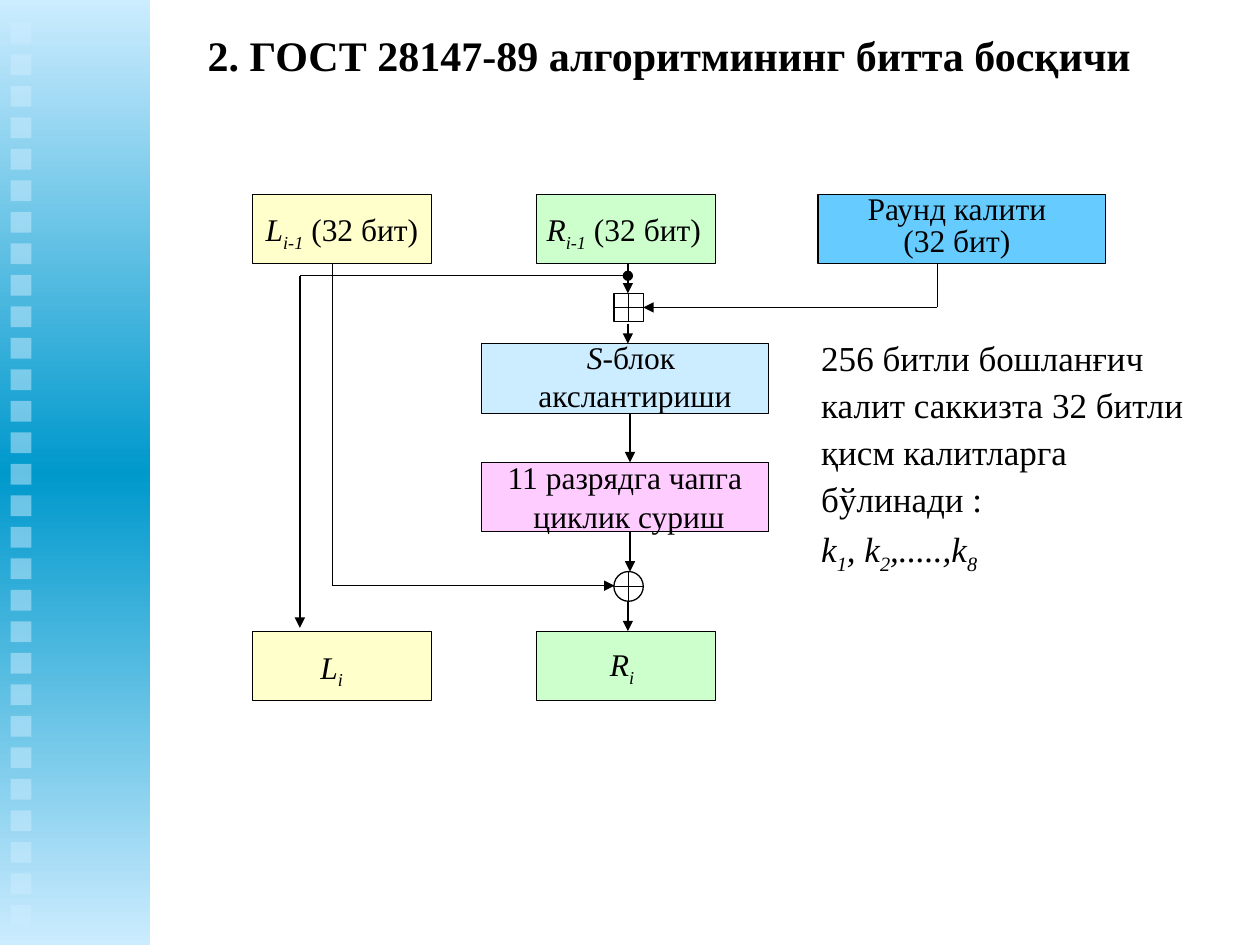
"""Draw one round of the GOST 28147-89 cipher as a block diagram."""
from copy import deepcopy
from dataclasses import dataclass
from typing import NamedTuple

from lxml.etree import SubElement as add_sub
from pptx import Presentation as Deck
from pptx.dml.color import RGBColor as Rgb
from pptx.enum.shapes import MSO_CONNECTOR as Wire, MSO_SHAPE as Form
from pptx.enum.text import MSO_ANCHOR as Anchor, PP_ALIGN as Align
from pptx.oxml.ns import qn
from pptx.util import Pt


@dataclass(frozen=True)
class Theme:
    font: str = "Times New Roman"
    ink: str = "000000"
    white: str = "FFFFFF"
    pale: str = "CCECFF"
    deep: str = "0099CC"
    cream: str = "FFFFCC"
    mint: str = "CCFFCC"
    sky: str = "66CCFF"
    pink: str = "FFCCFF"
    head: float = 24
    note: float = 20
    label: float = 18
    line: float = 0.75


class Box(NamedTuple):
    left: float
    top: float
    width: float
    height: float
    fill: str
    form: Form = Form.RECTANGLE


class Link(NamedTuple):
    x1: float
    y1: float
    x2: float
    y2: float
    start: str = ""
    end: str = ""


class Bit(NamedTuple):
    text: str
    slant: bool = False
    low: bool = False


THEME = Theme()


def var(name: str, index: str) -> list[Bit]:
    return [Bit(name, True), Bit(index, True, True)]


def draw_box(slide, box: Box, edge: bool = True):
    shape = slide.shapes.add_shape(box.form, *map(Pt, box[:4]))
    shape.shadow.inherit = False
    shape.fill.solid()
    shape.fill.fore_color.rgb = Rgb.from_string(box.fill)
    if edge:
        shape.line.color.rgb = Rgb.from_string(THEME.ink)
        shape.line.width = Pt(THEME.line)
    else:
        shape.line.fill.background()
    return shape


def draw_link(slide, link: Link) -> None:
    wire = slide.shapes.add_connector(Wire.STRAIGHT, *map(Pt, link[:4]))
    wire.line.color.rgb = Rgb.from_string(THEME.ink)
    wire.line.width = Pt(THEME.line)
    props = wire._element.spPr
    for tag, kind in (("a:headEnd", link.start), ("a:tailEnd", link.end)):
        if kind:
            add_sub(props.find(qn("a:ln")), qn(tag), type=kind)
    add_sub(props, qn("a:effectLst"))


def draw_text(slide, place: tuple[float, ...], rows: list[list[Bit]], *,
              size: float = THEME.label, bold: bool = False, wrap: bool = True,
              align: Align = Align.LEFT, pitch: float = 1, gap: float = 0) -> None:
    frame = slide.shapes.add_textbox(*map(Pt, place)).text_frame
    frame.word_wrap = wrap
    frame.vertical_anchor = Anchor.TOP
    for i, row in enumerate(rows):
        para = frame.add_paragraph() if i else frame.paragraphs[0]
        para.alignment = align
        para.line_spacing = pitch
        para.space_before = Pt(gap if i else 0)
        for bit in row:
            run = para.add_run()
            run.text = bit.text
            font = run.font
            font.name, font.size = THEME.font, Pt(size)
            font.bold, font.italic = bold, bit.slant
            font.color.rgb = Rgb.from_string(THEME.ink)
            if bit.low:
                run._r.get_or_add_rPr().set("baseline", "-25000")


def draw_band(slide) -> None:
    band = draw_box(slide, Box(0, 0, 85.7, 540, THEME.pale), edge=False)
    band.fill.gradient()
    band.fill.gradient_angle = 90
    first = band._element.spPr.find(".//" + qn("a:gs"))
    first.addnext(deepcopy(first))
    hues = (THEME.pale, THEME.deep, THEME.pale)
    for stop, hue, spot in zip(band.fill.gradient_stops, hues, (0, 0.5, 1)):
        stop.color.rgb = Rgb.from_string(hue)
        stop.position = spot
    for i in range(29):
        tile = draw_box(slide, Box(6, 13 + 18 * i, 12, 12, THEME.pale), edge=False)
        hue = tile._element.spPr.find(".//" + qn("a:srgbClr"))
        add_sub(hue, qn("a:alpha"), val="50000")


def draw_chart(slide) -> None:
    left, mid, right, core = 144.4, 306.5, 467.5, 275
    top, base, high, slim, wide = 111, 360.7, 39.7, 102.4, 164.4
    s_top, turn_top = 196.4, 264.2
    foot = top + high + 0.4
    axis, spine = 358.8, 360
    sum_y, xor_y, fork_y = 175.7, 334.7, 157.6
    sum_top, xor_top = 167.7, 326.6
    node, side = 350.8, 16.8
    l_x, r_x, key_x = 190, 171.4, 535.6
    for box in (
        Box(left, top, slim, high, THEME.cream),
        Box(mid, top, slim, high, THEME.mint),
        Box(right, top, wide, high, THEME.sky),
        Box(left, base, slim, high, THEME.cream),
        Box(mid, base, slim, high, THEME.mint),
        Box(core, s_top, wide, high, THEME.pale),
        Box(core, turn_top, wide, high, THEME.pink),
        Box(node, sum_top, side, 16, THEME.white),
        Box(node, xor_top, side, 17, THEME.white, Form.FLOWCHART_OR),
    ):
        draw_box(slide, box)
    tip = "triangle"
    for link in (
        Link(axis, foot, axis, sum_top, end=tip),
        Link(node, sum_y, node + side, sum_y),
        Link(node + side / 2, sum_top, node + side / 2, sum_top + 16),
        Link(axis, 185, axis, s_top, end=tip),
        Link(spine, s_top + high, spine, turn_top, end=tip),
        Link(spine, turn_top + high, spine, xor_top, end=tip),
        Link(axis, xor_top + 17, axis, base, end=tip),
        Link(node + side, sum_y, key_x, sum_y, start=tip),
        Link(key_x, sum_y, key_x, foot),
        Link(l_x, foot, l_x, xor_y),
        Link(l_x, xor_y, 351.2, xor_y, end=tip),
        Link(axis, fork_y, r_x, fork_y, start="oval"),
        Link(r_x, fork_y, r_x, 358.8, end=tip),
    ):
        draw_link(slide, link)


def draw_words(slide) -> None:
    draw_text(slide, (111.6, 25.9, 542.2, 21.6),
              [[Bit("2. ГОСТ 28147-89 алгоритмининг битта босқичи")]],
              size=THEME.head, bold=True, wrap=False, pitch=0.5)
    draw_text(slide, (473, 108, 147.6, 44), [[Bit("Раунд калити")], [Bit("(32 бит)")]],
              align=Align.CENTER, pitch=0.85)
    bits = Bit(" (32 бит)")
    for place, row in (
        ((144.7, 116.6, 118.8, 31.7), [*var("L", "i-1"), bits]),
        ((305.3, 116.6, 108, 31.7), [*var("R", "i-1"), bits]),
        ((176, 366.5, 51, 31.7), var("L", "i")),
        ((341.5, 365, 45.4, 31.7), var("R", "i")),
    ):
        draw_text(slide, place, [row])
    for place, rows in (
        ((269.3, 198.7, 187.2, 40.3),
         [[Bit("S", True), Bit("-блок ")], [Bit("акслантириши")]]),
        ((257.8, 267.8, 198.7, 40.3),
         [[Bit("11 разрядга чапга")], [Bit(" циклик суриш")]]),
    ):
        draw_text(slide, place, rows, align=Align.CENTER, pitch=0.5, gap=11.2)
    lines = ("256 битли бошланғич", "калит саккизта 32 битли",
             "қисм калитларга", "бўлинади :")
    keys = [*var("k", "1"), *var(", k", "2"), *var(",.....,k", "8")]
    draw_text(slide, (462.2, 197.3, 238.3, 131), [*([Bit(line)] for line in lines), keys],
              size=THEME.note, pitch=0.6, gap=12.5)


def main() -> None:
    deck = Deck()
    deck.slide_width, deck.slide_height = Pt(720), Pt(540)
    slide = deck.slides.add_slide(deck.slide_layouts[6])
    draw_band(slide)
    draw_chart(slide)
    draw_words(slide)
    deck.save("out.pptx")


if __name__ == "__main__":
    main()
